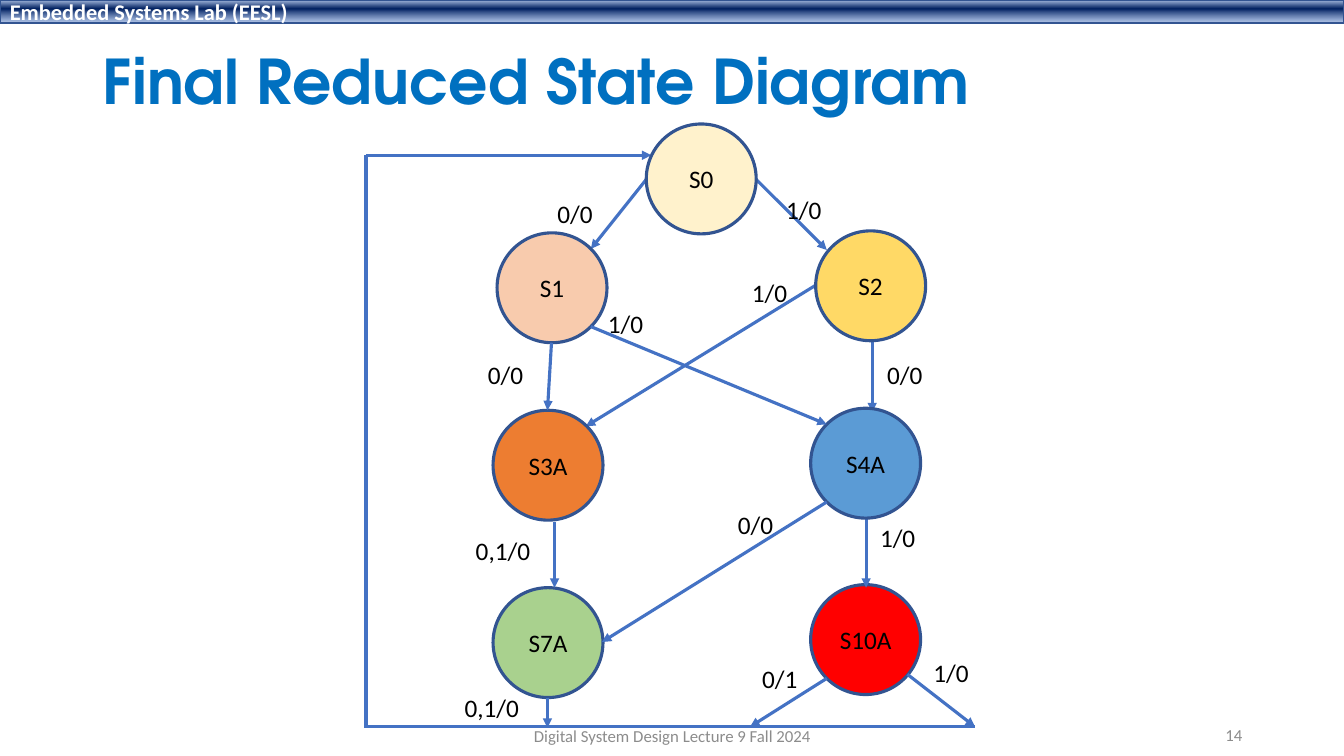
"""Build a slide with the final reduced state diagram."""
from lxml.etree import SubElement
from pptx import Presentation
from pptx.dml.color import RGBColor
from pptx.enum.shapes import MSO_CONNECTOR, MSO_SHAPE
from pptx.enum.text import MSO_ANCHOR, PP_ALIGN
from pptx.oxml import parse_xml
from pptx.oxml.ns import nsdecls, qn
from pptx.util import Pt

PX = 9144
SIZE = 109
NAVY = RGBColor(0x32, 0x54, 0x91)
BLUE = RGBColor(0x44, 0x72, 0xC4)
TITLE = RGBColor(0x00, 0x70, 0xC0)
GRAY = RGBColor(0x8C, 0x8C, 0x8C)
BLACK = RGBColor(0x00, 0x00, 0x00)
WHITE = RGBColor(0xFF, 0xFF, 0xFF)
CREAM = RGBColor(0xFF, 0xF2, 0xCC)
PEACH = RGBColor(0xF8, 0xCB, 0xAD)
GOLD = RGBColor(0xFF, 0xD9, 0x66)
RUST = RGBColor(0xED, 0x7D, 0x31)
SKY = RGBColor(0x5B, 0x9B, 0xD5)
GREEN = RGBColor(0xA9, 0xD1, 0x8E)
RED = RGBColor(0xFF, 0x00, 0x00)

deck = Presentation()
deck.slide_width, deck.slide_height = 1333 * PX, 750 * PX
slide = deck.slides.add_slide(deck.slide_layouts[6])


def write(shape, words, size=18, color=BLACK, font="Calibri", bold=False,
          align=PP_ALIGN.LEFT, anchor=MSO_ANCHOR.MIDDLE, wrap=True, space=1.0):
    frame = shape.text_frame
    frame.word_wrap, frame.vertical_anchor = wrap, anchor
    para = frame.paragraphs[0]
    para.alignment, para.line_spacing = align, space
    run = para.add_run()
    run.text = words
    run.font.size, run.font.name = Pt(size), font
    run.font.bold, run.font.color.rgb = bold, color


def place(kind, *rect):
    box = [n * PX for n in rect]
    if kind is None:
        return slide.shapes.add_textbox(*box)
    shape = slide.shapes.add_shape(kind, *box)
    shape.shadow.inherit = False
    shape.line.color.rgb = NAVY
    return shape


bar = place(MSO_SHAPE.RECTANGLE, 0, 0, 1333, 23)
bar.line.width = Pt(1)
bar.fill.gradient()
bar.fill.gradient_angle = 270
stops = bar._element.spPr.find(qn("a:gradFill")).find(qn("a:gsLst"))
for old in list(stops):
    stops.remove(old)
for pos, tint, alpha in [(2, "ABC0E4", 100), (38, "002060", 100), (93, "7E9ED6", 64)]:
    stops.append(parse_xml(
        f'<a:gs {nsdecls("a")} pos="{pos * 1000}"><a:srgbClr val="{tint}">'
        f'<a:alpha val="{alpha * 1000}"/></a:srgbClr></a:gs>'))
write(bar, "Embedded Systems Lab (EESL)", size=16, color=WHITE, bold=True)

write(place(None, 92, 40, 1150, 88), "Final Reduced State Diagram", size=44,
      color=TITLE, font="TeX Gyre Adventor", bold=True, space=0.9)

layers = [
    ([("S10A", 804, 580, RED)],
     [(641, 178, 586, 247, True), (750, 178, 820, 248, True),
      (900, 669, 967, 721, True), (865, 337, 865, 409, True),
      (809, 283, 581, 423, True), (859, 511, 859, 583, True),
      (967, 721, 363, 721, False), (363, 722, 363, 154, False),
      (363, 154, 646, 154, True)]),
    ([("S4A", 804, 405, SKY), ("S2", 809, 229, GOLD), ("S7A", 489, 583, GREEN),
      ("S3A", 489, 407, RUST), ("S1", 493, 231, PEACH), ("S0", 641, 123, CREAM)],
     [(547, 340, 543, 407, True), (550, 518, 550, 583, True),
      (820, 673, 744, 721, True), (543, 692, 543, 722, True),
      (586, 324, 820, 421, True), (820, 498, 597, 637, True)]),
]
for states, links in layers:
    for name, left, top, color in states:
        state = place(MSO_SHAPE.OVAL, left, top, SIZE, SIZE)
        state.fill.solid()
        state.fill.fore_color.rgb = color
        state.line.width = Pt(2.25)
        write(state, name, align=PP_ALIGN.CENTER)
    for *ends, head in links:
        link = slide.shapes.add_connector(
            MSO_CONNECTOR.STRAIGHT, *[n * PX for n in ends])
        link.line.color.rgb = BLUE
        link.line.width = Pt(2.25)
        if head:
            SubElement(link.line._get_or_add_ln(), qn("a:tailEnd"), type="triangle")
        SubElement(link._element.spPr, qn("a:effectLst"))

labels = [
    ("0/0", 543, 192), ("1/0", 770, 188), ("1/0", 593, 301), ("1/0", 736, 270),
    ("0/0", 722, 500), ("0/0", 870, 352), ("1/0", 863, 513), ("0/1", 746, 653),
    ("1/0", 916, 647), ("0,1/0", 451, 682), ("0,1/0", 462, 526), ("0/0", 474, 352),
]
for words, left, top in labels:
    width = 56 if len(words) == 3 else 75
    write(place(None, left, top, width, 40), words, anchor=MSO_ANCHOR.TOP, wrap=False)

write(place(None, 442, 710, 450, 40), "Digital System Design Lecture 9 Fall 2024",
      size=12, color=GRAY, align=PP_ALIGN.CENTER)
write(place(None, 942, 709, 300, 40), "14", size=12, color=GRAY, align=PP_ALIGN.RIGHT)

deck.save("out.pptx")
